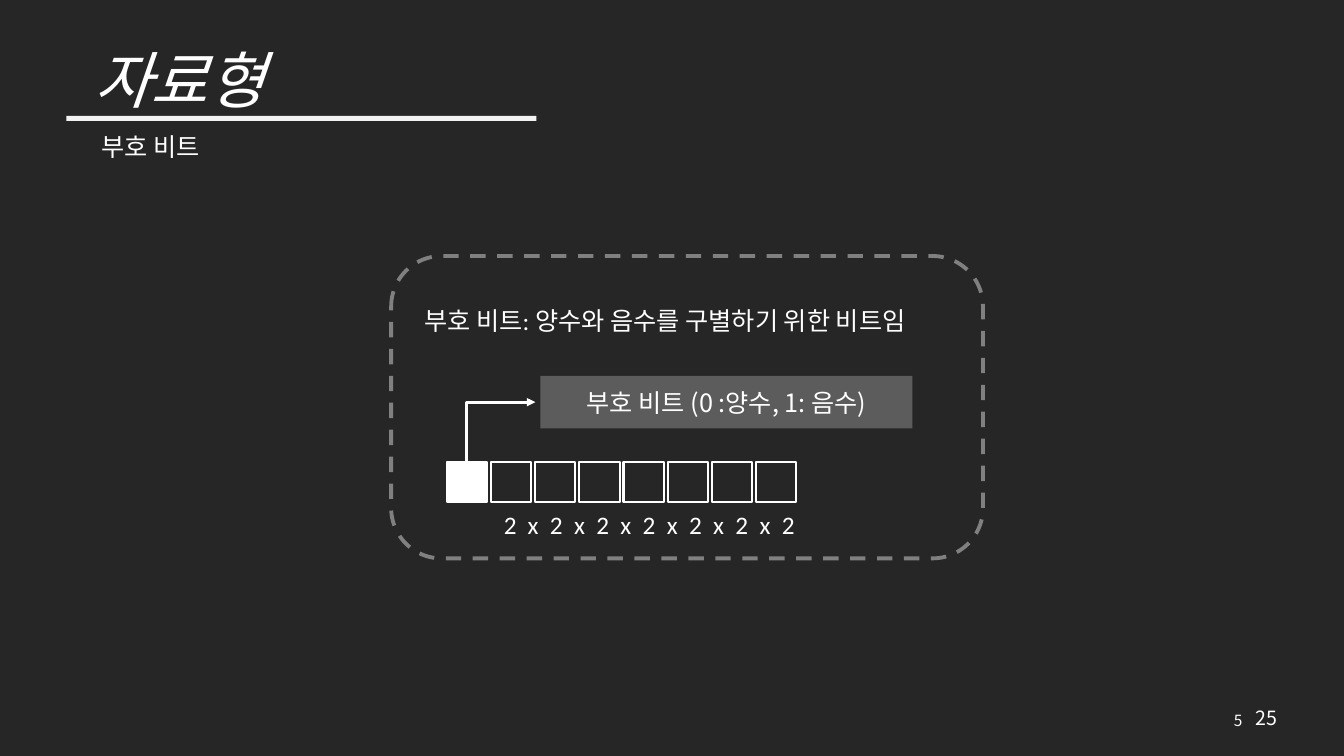
from lxml.etree import SubElement
from pptx import Presentation
from pptx.dml.color import RGBColor
from pptx.enum.dml import MSO_LINE
from pptx.enum.shapes import MSO_CONNECTOR, MSO_SHAPE
from pptx.enum.text import MSO_ANCHOR, PP_ALIGN
from pptx.oxml.ns import qn
from pptx.util import Inches, Pt

COLORS = {"page": "262626", "ink": "FFFFFF", "rule": "F2F2F2",
          "frame": "808080", "label": "5C5C5C"}
KOREAN, LATIN = "Noto Sans CJK KR", "Calibri"
BITS = 8


def color(name):
    return RGBColor.from_string(COLORS[name])


def write(shape, text, size, font=LATIN, align=PP_ALIGN.LEFT,
          anchor=MSO_ANCHOR.TOP, wrap=True):
    frame = shape.text_frame
    frame.word_wrap = wrap
    frame.vertical_anchor = anchor
    para = frame.paragraphs[0]
    para.alignment = align
    span = para.add_run()
    span.text = text
    span.font.name = font
    span.font.size = Pt(size)
    span.font.color.rgb = color("ink")
    SubElement(span.font._element, qn("a:ea"), typeface=KOREAN)
    return para


def add_text(page, box, text, size, **style):
    shape = page.shapes.add_textbox(*map(Inches, box))
    return write(shape, text, size, **style)


def add_block(page, box, kind=MSO_SHAPE.RECTANGLE, fill=None, line=None, width=1.5):
    shape = page.shapes.add_shape(kind, *map(Inches, box))
    shape.shadow.inherit = False
    if fill:
        shape.fill.solid()
        shape.fill.fore_color.rgb = color(fill)
    else:
        shape.fill.background()
    if line:
        shape.line.color.rgb = color(line)
        shape.line.width = Pt(width)
    else:
        shape.line.fill.background()
    return shape


def add_bent_arrow(page, start, end):
    """Go up from start, then right to end, as a quarter-turned elbow."""
    wide, tall = end[0] - start[0], start[1] - end[1]
    middle_x, middle_y = (start[0] + end[0]) / 2, (start[1] + end[1]) / 2
    arrow = page.shapes.add_connector(
        MSO_CONNECTOR.ELBOW,
        Inches(middle_x + tall / 2), Inches(middle_y + wide / 2),
        Inches(middle_x - tall / 2), Inches(middle_y - wide / 2))
    properties = arrow._element.spPr
    properties.find(qn("a:xfrm")).set("rot", str(90 * 60000))
    properties.find(qn("a:prstGeom")).set("prst", "bentConnector2")
    arrow.line.color.rgb = color("ink")
    arrow.line.width = Pt(2)
    SubElement(arrow.line._get_or_add_ln(), qn("a:tailEnd"), type="triangle")
    SubElement(properties, qn("a:effectLst"))


def add_footer(page, left, top):
    add_text(page, (left + 2.93, top, 0.42, 0.34), "25", 14, font=KOREAN, wrap=False)
    add_text(page, (left, top, 3, 0.4), "5", 11, font=KOREAN,
             align=PP_ALIGN.RIGHT, anchor=MSO_ANCHOR.MIDDLE)


def add_heading(page, left, top):
    title = add_text(page, (left, top, 2.24, 1.08), "자료형", 44, font=KOREAN,
                     align=PP_ALIGN.CENTER, anchor=MSO_ANCHOR.MIDDLE)
    title.line_spacing = 0.9
    title.runs[0].font.italic = True
    add_block(page, (left, top + 0.86, 4.66, 0.05), fill="rule")
    add_text(page, (left + 0.25, top + 0.96, 2.86, 0.4), "부호 비트", 18)


def add_powers(page, box):
    """Spread the factors evenly with centred tab stops."""
    factors = "\tx\t".join(["2"] * (BITS - 1))
    para = add_text(page, box, factors, 18)
    stops = SubElement(para._p.get_or_add_pPr(), qn("a:tabLst"))
    for index in range(1, factors.count("\t") + 1):
        SubElement(stops, qn("a:tab"), pos=str(Inches(0.06 + 0.23 * index)), algn="ctr")


def add_sign_bit_panel(page, left, top, width, height):
    # Dashed frame and definition
    frame = add_block(page, (left, top, width, height), MSO_SHAPE.ROUNDED_RECTANGLE,
                      line="frame", width=2.75)
    frame.line.dash_style = MSO_LINE.DASH
    add_text(page, (left + 0.23, top + 0.44, 5.41, 0.4),
             "부호 비트: 양수와 음수를 구별하기 위한 비트임", 18)

    # Row of bits, the sign bit filled
    side, pitch = 0.4, 3.07 / (BITS - 1)
    row_left, row_top = left + 0.55, top + 2.04
    for index in range(BITS):
        add_block(page, (row_left + index * pitch, row_top, side, side),
                  fill="ink" if index == 0 else None, line="ink")
    add_powers(page, (left + 1.02, top + 2.46, 4.37, 0.4))

    # Arrow from the sign bit to its label
    label_left, label_top, label_height = left + 1.48, top + 1.19, 0.52
    add_bent_arrow(page, (row_left + side / 2, row_top),
                   (label_left - 0.05, label_top + label_height / 2))
    label = add_block(page, (label_left, label_top, 3.69, label_height), fill="label")
    write(label, "부호 비트 (0 :양수, 1: 음수)", 18, font=KOREAN,
          align=PP_ALIGN.CENTER, anchor=MSO_ANCHOR.MIDDLE)


def main():
    deck = Presentation()
    deck.slide_width, deck.slide_height = Inches(13.33), Inches(7.5)
    page = deck.slides.add_slide(deck.slide_layouts[6])
    page.background.fill.solid()
    page.background.fill.fore_color.rgb = color("page")
    add_footer(page, 9.42, 6.95)
    add_heading(page, 0.66, 0.29)
    add_sign_bit_panel(page, 3.88, 2.54, 5.87, 3)
    deck.save("out.pptx")


if __name__ == "__main__":
    main()
